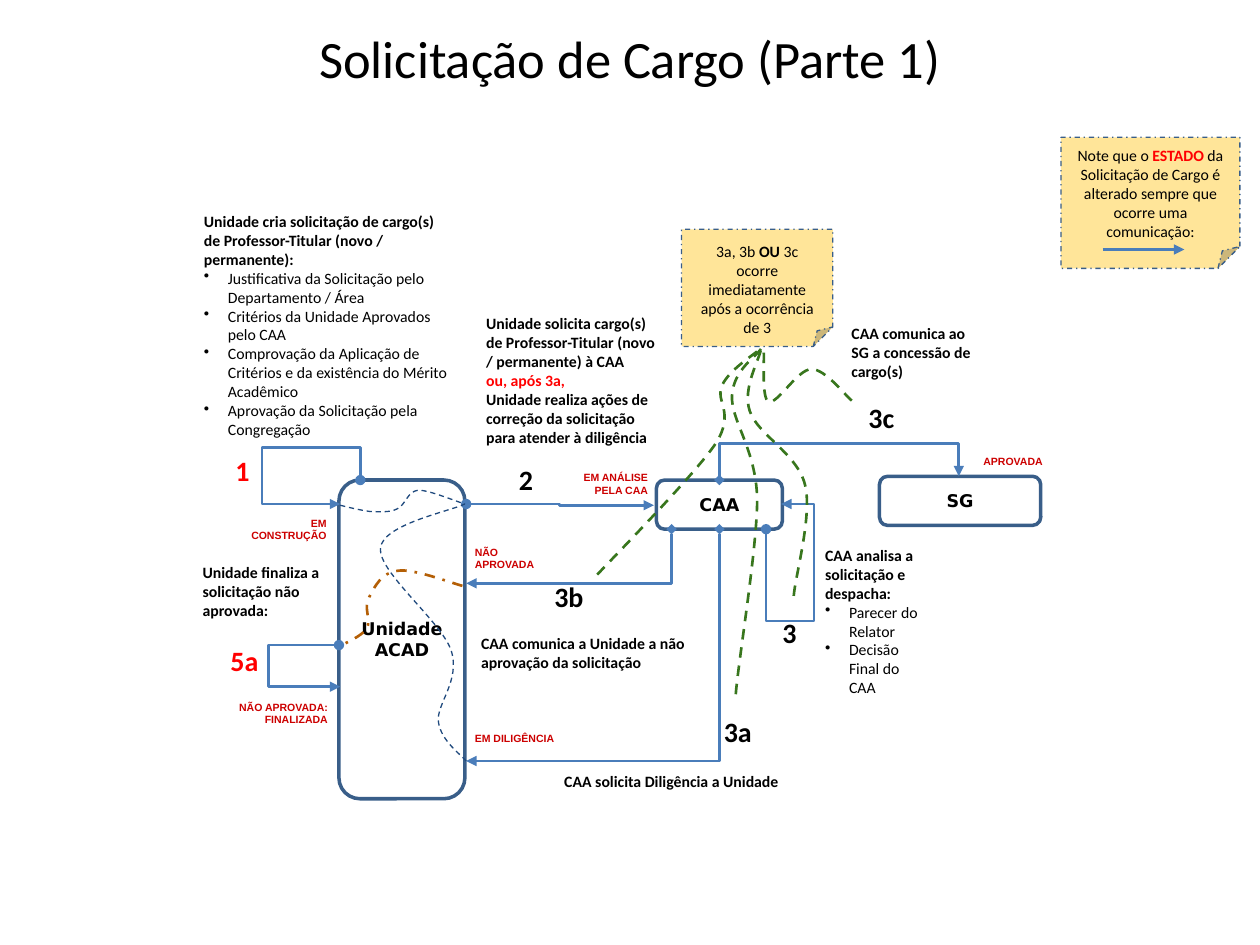
from lxml import etree
from pptx import Presentation
from pptx.dml.color import RGBColor
from pptx.enum import dml, shapes, text
from pptx.oxml import ns
from pptx.util import Inches, Pt

BLACK = RGBColor(0, 0, 0)
RED = RGBColor(0xFF, 0, 0)
STATE_RED = RGBColor(0xCC, 0, 0)
NAVY = RGBColor(0x39, 0x5E, 0x89)
BLUE = RGBColor(0x4A, 0x7D, 0xBA)
DARK_BLUE = RGBColor(0x1F, 0x49, 0x7D)
GREEN = RGBColor(0x38, 0x76, 0x1D)
BROWN = RGBColor(0xB4, 0x5F, 0x06)
SAND = RGBColor(0xFF, 0xE5, 0x99)
LEFT, CENTER, RIGHT = text.PP_ALIGN.LEFT, text.PP_ALIGN.CENTER, text.PP_ALIGN.RIGHT
DASH, DASH_DOT = dml.MSO_LINE.DASH, dml.MSO_LINE.DASH_DOT
ROUNDED = shapes.MSO_SHAPE.ROUNDED_RECTANGLE
FOLDED = shapes.MSO_SHAPE.FOLDED_CORNER


def place(box, x, y, w, h):
    return box[0] + Inches(x), box[1] + Inches(y), Inches(w), Inches(h)


def style_line(line, color, width, dash=None):
    line.color.rgb = color
    line.width = Pt(width)
    if dash is not None:
        line.dash_style = dash


def set_font(font, size, name, color, bold):
    font.size, font.name, font.bold = Pt(size), name, bold
    font.color.rgb = color


def write(paragraph, content, size, name="Calibri", color=BLACK, bold=False, align=LEFT):
    paragraph.alignment = align
    set_font(paragraph.font, size, name, color, bold)
    paragraph.add_run().text = content


def add_bullet(paragraph):
    props = paragraph._p.get_or_add_pPr()
    props.set("marL", str(Inches(0.19)))
    props.set("indent", str(-Inches(0.19)))
    etree.SubElement(props, ns.qn("a:buChar")).set("char", "•")


def add_text(slide, area, paragraphs, inset=0.05, **style):
    frame = slide.shapes.add_textbox(*area).text_frame
    frame.word_wrap = True
    frame.margin_top = frame.margin_bottom = Inches(inset)
    for index, content in enumerate(paragraphs):
        paragraph = frame.add_paragraph() if index else frame.paragraphs[0]
        write(paragraph, content, **style)
    return frame


def add_caption(slide, area, heading, items=()):
    frame = add_text(slide, area, [heading], size=9, bold=True)
    for item in items:
        paragraph = frame.add_paragraph()
        add_bullet(paragraph)
        write(paragraph, item, 9)


def add_actor(slide, area, lines):
    actor = slide.shapes.add_shape(ROUNDED, *area)
    actor.shadow.inherit = False
    actor.fill.background()
    style_line(actor.line, NAVY, 2)
    frame = actor.text_frame
    frame.vertical_anchor = text.MSO_ANCHOR.MIDDLE
    for index, content in enumerate(lines):
        paragraph = frame.add_paragraph() if index else frame.paragraphs[0]
        write(paragraph, content, 10, "DejaVu Sans", bold=True, align=CENTER)


def add_note(slide, area, inset, runs):
    note = slide.shapes.add_shape(FOLDED, *area)
    note.shadow.inherit = False
    note.fill.solid()
    note.fill.fore_color.rgb = SAND
    style_line(note.line, NAVY, 0.75, DASH_DOT)
    frame = note.text_frame
    frame.vertical_anchor = text.MSO_ANCHOR.TOP
    frame.margin_top = Inches(inset)
    paragraph = frame.paragraphs[0]
    paragraph.alignment = CENTER
    for content, color, bold in runs:
        run = paragraph.add_run()
        run.text = content
        set_font(run.font, 9, "Calibri", color, bold)


def add_arrow(slide, kind, x1, y1, x2, y2, head=None):
    arrow = slide.shapes.add_connector(kind, x1, y1, x2, y2)
    style_line(arrow.line, BLUE, 1.5)
    line = arrow.line._get_or_add_ln()
    for tag, end in (("a:headEnd", head), ("a:tailEnd", "triangle")):
        if end:
            etree.SubElement(line, ns.qn(tag)).set("type", end)
    etree.SubElement(arrow._element.spPr, ns.qn("a:effectLst"))
    return arrow


def add_elbow(slide, box, start, end, head, turn=0, geometry="bentConnector3", bends=()):
    (x1, y1), (x2, y2) = start, end
    w, h = abs(x2 - x1), abs(y2 - y1)
    along, across = x1, y1
    sign, cross_sign = 1, 1
    if turn:
        w, h = h, w
        along, across = y1, x1
        sign, cross_sign = (1, -1) if turn == 90 else (-1, 1)
    left, top, width, height = place(box, (x1 + x2 - w) / 2, (y1 + y2 - h) / 2, w, h)
    arrow = add_arrow(slide, shapes.MSO_CONNECTOR.ELBOW, left, top, left + width, top + height, head)
    props = arrow._element.spPr
    props.find(ns.qn("a:xfrm")).set("rot", str(turn * 60000))
    preset = props.find(ns.qn("a:prstGeom"))
    preset.set("prst", geometry)
    guides = preset.find(ns.qn("a:avLst"))
    rules = ((along, sign, w), (across, cross_sign, h))
    for index, (bend, (origin, direction, size)) in enumerate(zip(bends, rules), 1):
        guide = etree.SubElement(guides, ns.qn("a:gd"))
        guide.set("name", f"adj{index}")
        guide.set("fmla", f"val {round((bend - origin) * direction / size * 100000)}")


def add_curve(slide, box, points, color, width, dash):
    spots = [place(box, x, y, 0, 0)[:2] for x, y in points]
    builder = slide.shapes.build_freeform(*spots[0])
    builder.add_line_segments(spots[1:], close=False)
    curve = builder.convert_to_shape()
    curve.shadow.inherit = False
    curve.fill.background()
    style_line(curve.line, color, width, dash)
    segments = list(curve._element.iter(ns.qn("a:lnTo")))
    for first in range(0, len(segments), 3):
        bezier = etree.Element(ns.qn("a:cubicBezTo"))
        segments[first].addprevious(bezier)
        for segment in segments[first:first + 3]:
            bezier.append(segment[0])
            segment.getparent().remove(segment)


def build_title(slide, box):
    frame = add_text(slide, box, ["Solicitação de Cargo (Parte 1)"], size=30, align=CENTER)
    frame.vertical_anchor = text.MSO_ANCHOR.MIDDLE


def build_legend(slide, box):
    add_note(slide, box, 0.07, [
        ("Note que o ", BLACK, False), ("ESTADO ", RED, True),
        ("da Solicitação de Cargo é alterado sempre que ocorre uma comunicação:", BLACK, False)])
    x, y, length, _ = place(box, 0.33, 0.89, 0.65, 0)
    add_arrow(slide, shapes.MSO_CONNECTOR.STRAIGHT, x, y, x + length, y)


def build_actors(slide, box):
    for area, lines in [((1.19, 2.31, 1, 2.53), ["Unidade", "ACAD"]),
                        ((3.71, 2.31, 1, 0.39), ["CAA"]),
                        ((5.48, 2.28, 1.28, 0.39), ["SG"])]:
        add_actor(slide, place(box, *area), lines)


def build_captions(slide, box):
    add_caption(slide, place(box, 0.02, 0.13, 2.18, 1.83),
                "Unidade cria solicitação de cargo(s) de Professor-Titular (novo / permanente):",
                ["Justificativa da Solicitação pelo Departamento / Área",
                 "Critérios da Unidade Aprovados pelo CAA",
                 "Comprovação da Aplicação de Critérios e da existência do Mérito Acadêmico",
                 "Aprovação da Solicitação pela Congregação"])
    add_caption(slide, place(box, 4.95, 2.78, 0.97, 1.42), "CAA analisa a solicitação e despacha:",
                ["Parecer do Relator", "Decisão Final do CAA"])
    for area, heading in [((5.16, 1.02, 1.2, 0.53), "CAA comunica ao SG a concessão de cargo(s)"),
                          ((2.22, 3.48, 1.97, 0.69), "CAA comunica a Unidade a não aprovação da solicitação"),
                          ((2.88, 4.58, 1.97, 0.26), "CAA solicita Diligência a Unidade"),
                          ((0.01, 2.92, 1.16, 0.53), "Unidade finaliza a solicitação não aprovada:")]:
        add_caption(slide, place(box, *area), heading)
    request = add_text(slide, place(box, 2.26, 0.94, 1.56, 1.14), [
        "Unidade solicita cargo(s) de Professor-Titular (novo / permanente) à CAA",
        "ou, após 3a,",
        "Unidade realiza ações de correção da solicitação para atender à diligência"], size=9, bold=True)
    request.paragraphs[1].font.color.rgb = RED


def build_arrows(slide, box):
    for start, end, head, turn, geometry, bends in [
            ((4.21, 2.31), (6.11, 2.28), "diamond", 270, "bentConnector3", [2.02]),
            ((2.2, 2.5), (3.69, 2.51), "oval", 0, "bentConnector3", [2.94]),
            ((4.58, 2.7), (4.7, 2.5), "oval", 270, "bentConnector4", [3.43, 4.96]),
            ((4.21, 2.7), (2.2, 4.54), "diamond", 90, "bentConnector2", []),
            ((1.36, 2.31), (1.2, 2.5), "oval", 90, "bentConnector4", [2.05, 0.58]),
            ((3.83, 2.7), (2.2, 3.13), "diamond", 90, "bentConnector2", []),
            ((1.19, 3.62), (1.2, 3.95), "oval", 0, "bentConnector3", [0.62])]:
        add_elbow(slide, box, start, end, head, turn, geometry, bends)


def build_curves(slide, box):
    green, navy, brown = (GREEN, 1.5, DASH), (DARK_BLUE, 0.75, DASH), (BROWN, 1.5, DASH_DOT)
    for style, points in [
            (green, [(3.24, 3.06), (3.4, 2.89), (4.01, 2.27), (4.18, 2.02), (4.34, 1.77),
                     (4.17, 1.68), (4.23, 1.56), (4.29, 1.43), (4.48, 1.32), (4.53, 1.27)]),
            (green, [(5.26, 1.68), (5.2, 1.63), (5.05, 1.43), (4.94, 1.43), (4.83, 1.43),
                     (4.67, 1.71), (4.6, 1.69), (4.54, 1.66), (4.57, 1.34), (4.56, 1.27)]),
            (green, [(4.8, 3.23), (4.81, 3.08), (4.95, 2.59), (4.89, 2.35), (4.83, 2.1),
                     (4.51, 1.95), (4.45, 1.76), (4.39, 1.58), (4.53, 1.35), (4.54, 1.27)]),
            (green, [(4.34, 4.01), (4.36, 3.75), (4.51, 2.85), (4.51, 2.46), (4.5, 2.06),
                     (4.3, 1.84), (4.31, 1.64), (4.32, 1.44), (4.5, 1.33), (4.54, 1.27)]),
            (navy, [(2.2, 4.54), (2.16, 4.49), (2, 4.38), (1.98, 4.23), (1.96, 4.09),
                    (2.16, 3.9), (2.08, 3.66), (2, 3.43), (1.5, 3.04), (1.52, 2.85),
                    (1.54, 2.66), (2.07, 2.56), (2.19, 2.5)]),
            (brown, [(2.17, 3.15), (2.09, 3.13), (1.78, 3.01), (1.66, 3.03), (1.53, 3.04),
                     (1.47, 3.16), (1.43, 3.24), (1.38, 3.32), (1.45, 3.42), (1.41, 3.49),
                     (1.37, 3.55), (1.23, 3.61), (1.19, 3.63)]),
            (navy, [(1.2, 2.51), (1.24, 2.52), (1.36, 2.55), (1.44, 2.56), (1.51, 2.56),
                    (1.59, 2.57), (1.65, 2.54), (1.72, 2.51), (1.73, 2.4), (1.82, 2.39),
                    (1.91, 2.39), (2.12, 2.48), (2.19, 2.5)])]:
        add_curve(slide, box, points, *style)


def build_states(slide, box):
    for area, state, align in [((3.02, 2.14, 0.72, 0.34), "EM ANÁLISE PELA CAA", RIGHT),
                               ((6.18, 2.06, 0.72, 0.22), "APROVADA", CENTER),
                               ((0.36, 2.5, 0.83, 0.34), "EM CONSTRUÇÃO", RIGHT),
                               ((2.17, 2.73, 0.68, 0.34), "NÃO APROVADA", LEFT),
                               ((2.17, 4.26, 0.83, 0.26), "EM DILIGÊNCIA", LEFT),
                               ((0.23, 3.96, 0.97, 0.33), "NÃO APROVADA: FINALIZADA", RIGHT)]:
        add_text(slide, place(box, *area), [state], inset=0.1, size=6, name="Arial",
                 color=STATE_RED, bold=True, align=align)


def build_steps(slide, box):
    for x, y, w, step, color in [(0.26, 2.05, 0.33, "1", RED), (2.51, 2.12, 0.33, "2", BLACK),
                                 (4.6, 3.34, 0.33, "3", BLACK), (4.09, 4.12, 0.53, "3a", BLACK),
                                 (2.75, 3.05, 0.53, "3b", BLACK), (5.24, 1.63, 0.51, "3c", BLACK),
                                 (0.16, 3.56, 0.56, "5a", RED)]:
        add_text(slide, place(box, x, y, w, 0.4), [step], size=16, color=color, bold=True, align=CENTER)


def build_diagram(slide, box):
    build_actors(slide, box)
    build_captions(slide, box)
    add_note(slide, place(box, 3.91, 0.32, 1.2, 0.93), 0.1, [
        ("3a, 3b ", BLACK, False), ("OU ", BLACK, True),
        ("3c ocorre imediatamente após a ocorrência de 3", BLACK, False)])
    for build in (build_arrows, build_curves, build_states, build_steps):
        build(slide, box)


def main():
    deck = Presentation()
    deck.slide_width, deck.slide_height = Inches(10), Inches(7.5)
    slide = deck.slides.add_slide(deck.slide_layouts[6])
    build_title(slide, (Inches(0.5), Inches(0.13), Inches(9), Inches(0.65)))
    build_diagram(slide, (Inches(1.5), Inches(1.5), Inches(6.9), Inches(4.84)))
    build_legend(slide, (Inches(8.42), Inches(1.09), Inches(1.42), Inches(1.04)))
    deck.save("out.pptx")


if __name__ == "__main__":
    main()
